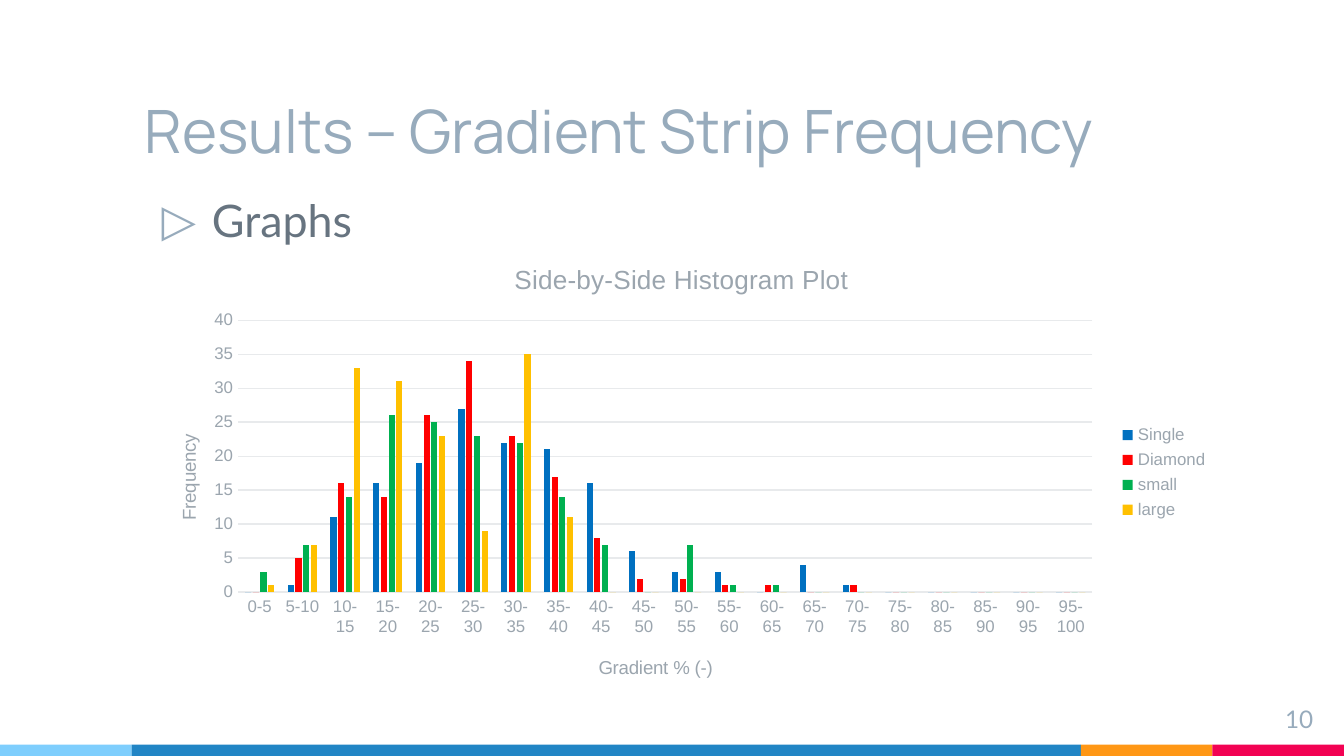
from lxml import etree
from pptx import Presentation
from pptx.chart.data import CategoryChartData
from pptx.dml.color import RGBColor
from pptx.enum.chart import XL_CHART_TYPE, XL_LEGEND_POSITION, XL_TICK_MARK
from pptx.enum.shapes import MSO_SHAPE
from pptx.enum.text import MSO_ANCHOR, PP_ALIGN
from pptx.oxml.ns import qn
from pptx.util import Pt

RECTANGLE = MSO_SHAPE.RECTANGLE
TOP, BOTTOM = MSO_ANCHOR.TOP, MSO_ANCHOR.BOTTOM
LEFT, RIGHT = PP_ALIGN.LEFT, PP_ALIGN.RIGHT
COLUMNS = XL_CHART_TYPE.COLUMN_CLUSTERED
LEGEND_RIGHT = XL_LEGEND_POSITION.RIGHT
NO_TICK = XL_TICK_MARK.NONE

ACCENT, BODY, MUTED, GRID = "97ABBC", "677480", "9BA5AE", "E8EAEC"
BANDS = [(70.5, "7ECEFD"), (508.5, "2185C5"), (70.5, "FF9715"), (70.5, "F20253")]
GRADIENTS = [f"{low}-{low + 5}" for low in range(0, 100, 5)]
FREQUENCIES = [
    ("Single", "0070C0", [0, 1, 11, 16, 19, 27, 22, 21, 16, 6, 3, 3, 0, 4, 1]),
    ("Diamond", "FF0000", [0, 5, 16, 14, 26, 34, 23, 17, 8, 2, 2, 1, 1, 0, 1]),
    ("small", "00B050", [3, 7, 14, 26, 25, 23, 22, 14, 7, 0, 7, 1, 1]),
    ("large", "FFC000", [1, 7, 33, 31, 23, 9, 35, 11]),
]


def rgb(value):
    return RGBColor.from_string(value)


def set_font(font, face, size, color):
    font.name, font.size, font.bold = face, Pt(size), False
    font.color.rgb = rgb(color)


def place(element, **fractions):
    layout = element.find(qn("c:layout"))
    if layout is None:
        layout = etree.Element(qn("c:layout"))
        element.insert(0, layout)
    manual = etree.SubElement(layout, qn("c:manualLayout"))
    if "w" in fractions:
        etree.SubElement(manual, qn("c:layoutTarget"), val="inner")
    for side in "xy":
        etree.SubElement(manual, qn(f"c:{side}Mode"), val="edge")
    for side, fraction in fractions.items():
        etree.SubElement(manual, qn(f"c:{side}"), val=str(fraction))


class SlideBuilder:
    """Holds the style and the current slide, and adds each kind of element."""

    text_face, chart_face, inset = "Lato", "Arial", 7.2

    def __init__(self, slide):
        self.slide = slide

    def band(self, left, top, width, height, color):
        band = self.slide.shapes.add_shape(
            RECTANGLE, Pt(left), Pt(top), Pt(width), Pt(height))
        band.shadow.inherit = False
        band.fill.solid()
        band.fill.fore_color.rgb = rgb(color)
        band.line.fill.background()

    def text(self, box, words, size, color, face=None, anchor=TOP, align=LEFT):
        frame = self.slide.shapes.add_textbox(*map(Pt, box)).text_frame
        frame.word_wrap = True
        frame.vertical_anchor = anchor
        frame.margin_left = frame.margin_right = Pt(self.inset)
        frame.margin_top = frame.margin_bottom = Pt(self.inset)
        paragraph = frame.paragraphs[0]
        paragraph.alignment = align
        run = paragraph.add_run()
        run.text = words
        set_font(run.font, face or self.text_face, size, color)
        return paragraph

    def bullet(self, box, words, size, color, mark, mark_color):
        paragraph = self.text(box, words, size, color)
        paragraph.space_before = Pt(6)
        properties = paragraph._p.get_or_add_pPr()
        properties.set("marL", str(Pt(36)))
        properties.set("indent", str(Pt(-27)))
        tint = etree.SubElement(properties, qn("a:buClr"))
        etree.SubElement(tint, qn("a:srgbClr"), val=mark_color)
        etree.SubElement(properties, qn("a:buFont"), typeface=self.text_face)
        etree.SubElement(properties, qn("a:buChar"), char=mark)

    def chart_title(self, title, words, size):
        run = title.text_frame.paragraphs[0].add_run()
        run.text = words
        set_font(run.font, self.chart_face, size, MUTED)

    def axis(self, axis, words, x, y):
        axis.major_tick_mark = axis.minor_tick_mark = NO_TICK
        set_font(axis.tick_labels.font, self.chart_face, 9, MUTED)
        self.chart_title(axis.axis_title, words, 10)
        place(axis.axis_title._element, x=x, y=y)

    def histogram(self, box, title, categories, series_rows):
        data = CategoryChartData()
        data.categories = categories
        for name, _, counts in series_rows:
            data.add_series(name, counts + [0] * (len(categories) - len(counts)))
        chart = self.slide.shapes.add_chart(COLUMNS, *map(Pt, box), data).chart
        set_font(chart.font, self.chart_face, 10, BODY)
        chart.has_title = True
        self.chart_title(chart.chart_title, title, 14)
        chart.has_legend = True
        chart.legend.position = LEGEND_RIGHT
        chart.legend.include_in_layout = False
        set_font(chart.legend.font, self.chart_face, 9, MUTED)

        gradient, frequency = chart.category_axis, chart.value_axis
        self.axis(gradient, "Gradient % (-)", 0.42, 0.89)
        self.axis(frequency, "Frequency", 0.03, 0.41)
        frequency.minimum_scale, frequency.maximum_scale = 0, 40
        frequency.major_unit = 5
        frequency.has_major_gridlines = True
        frequency.format.line.fill.background()
        for line in (gradient.format.line, frequency.major_gridlines.format.line):
            line.color.rgb = rgb(GRID)
            line.width = Pt(0.75)

        plot = chart.plots[0]
        plot.gap_width, plot.overlap = 219, -27
        plot.vary_by_categories = False
        for series, (_, color, _) in zip(plot.series, series_rows):
            series.format.fill.solid()
            series.format.fill.fore_color.rgb = rgb(color)
            series.invert_if_negative = False
        plot_area = chart._chartSpace.find(".//" + qn("c:plotArea"))
        place(plot_area, x=0.09, y=0.17, w=0.79, h=0.59)


def main():
    deck = Presentation()
    deck.slide_width, deck.slide_height = Pt(720), Pt(405)
    builder = SlideBuilder(deck.slides.add_slide(deck.slide_layouts[6]))

    left = 0
    for width, color in BANDS:
        builder.band(left, 399, width, 6, color)
        left += width

    builder.text((70.5, 28, 540, 68), "Results – Gradient Strip Frequency",
                 32, ACCENT, face="Manrope", anchor=BOTTOM)
    builder.bullet((70.5, 96, 509, 279), "Graphs", 24, BODY, "▷", ACCENT)
    builder.text((667.5, 370, 43, 24.5), "10", 13, ACCENT, align=RIGHT)
    builder.histogram((75.6, 129.6, 579, 247), "Side-by-Side Histogram Plot",
                      GRADIENTS, FREQUENCIES)
    deck.save("out.pptx")


if __name__ == "__main__":
    main()
